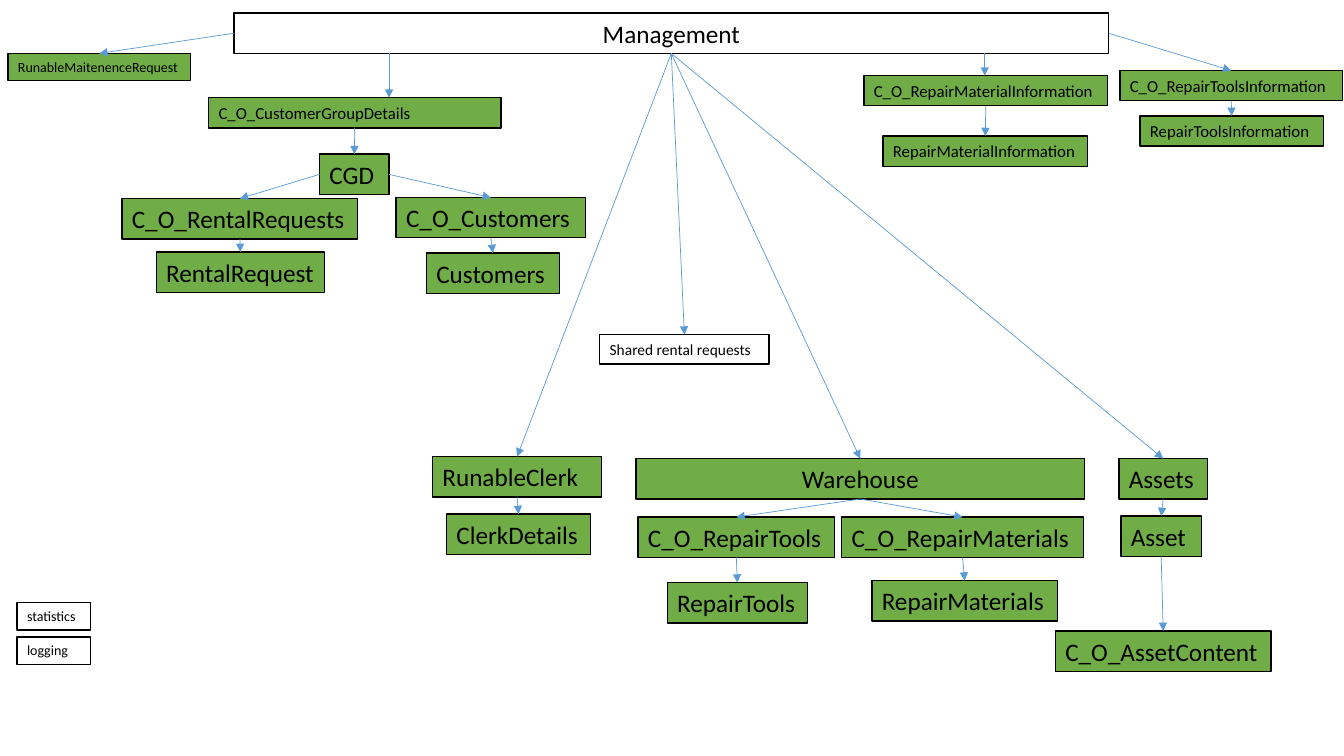
from pptx import Presentation
from pptx.dml.color import RGBColor
from pptx.enum.shapes import MSO_CONNECTOR as CONN
from pptx.enum.text import MSO_AUTO_SIZE as FIT, PP_ALIGN as ALIGN
from pptx.oxml.ns import qn
from pptx.util import Inches, Pt
from lxml.etree import SubElement

GREEN = RGBColor(0x70, 0xAD, 0x47)
BLUE = RGBColor(0x5B, 0x9B, 0xD5)
WHITE = RGBColor(0xFF, 0xFF, 0xFF)
BLACK = RGBColor(0, 0, 0)
FONT = "Calibri"

# The 16:9 slide is a grid of square cells, 750 rows high.
ROWS = 750
CELL = Inches(0.01)

# Rows that one line of text takes up, by font size
BOX_ROWS = {18: 40, 12: 30, 11: 29, 10: 27}
TOP, LEFT, BOTTOM, RIGHT = range(4)

# Green classes: text, column, row, columns wide, font size
CLASSES = [
    ("C_O_CustomerGroupDetails", 207, 97, 290, 12),
    ("CGD", 317, 153, 69, 18),
    ("C_O_RentalRequests", 121, 197, 234, 18),
    ("C_O_Customers", 393, 196, 188, 18),
    ("RentalRequest", 155, 250, 167, 18),
    ("Customers", 423, 251, 132, 18),
    ("RunableClerk", 429, 453, 168, 18),
    ("ClerkDetails", 443, 510, 143, 18),
    ("Warehouse", 631, 455, 445, 18),
    ("C_O_RepairTools", 633, 513, 195, 18),
    ("RepairTools", 662, 578, 139, 18),
    ("C_O_RepairMaterials", 835, 513, 240, 18),
    ("RepairMaterials", 865, 576, 184, 18),
    ("Assets", 1110, 455, 88, 18),
    ("Asset", 1112, 512, 80, 18),
    ("C_O_AssetContent", 1047, 626, 214, 18),
    ("C_O_RepairToolsInformation", 1111, 70, 221, 12),
    ("RepairToolsInformation", 1131, 115, 182, 12),
    ("C_O_RepairMaterialInformation", 857, 75, 242, 12),
    ("RepairMaterialInformation", 876, 135, 203, 12),
    ("RunableMaitenenceRequest", 8, 53, 181, 10),
]
PLAIN = [
    ("Management", 232, 13, 868, 18),
    ("Shared rental requests", 595, 332, 168, 11),
    ("statistics", 17, 598, 73, 10),
    ("logging", 17, 632, 73, 10),
]
CENTRED = {"Management", "Warehouse"}

# Arrows into the top of each child: parent, side it leaves from, children
LINKS = [
    ("Management", LEFT, ["RunableMaitenenceRequest"]),
    ("Management", RIGHT, ["C_O_RepairToolsInformation"]),
    ("Management", BOTTOM, ["RunableClerk", "Warehouse", "Assets",
                            "Shared rental requests"]),
    ("C_O_CustomerGroupDetails", BOTTOM, ["CGD"]),
    ("CGD", LEFT, ["C_O_RentalRequests"]),
    ("CGD", RIGHT, ["C_O_Customers"]),
    ("C_O_RentalRequests", BOTTOM, ["RentalRequest"]),
    ("C_O_Customers", BOTTOM, ["Customers"]),
    ("RunableClerk", BOTTOM, ["ClerkDetails"]),
    ("Warehouse", BOTTOM, ["C_O_RepairTools", "C_O_RepairMaterials"]),
    ("C_O_RepairTools", BOTTOM, ["RepairTools"]),
    ("C_O_RepairMaterials", BOTTOM, ["RepairMaterials"]),
    ("Assets", BOTTOM, ["Asset"]),
    ("Asset", BOTTOM, ["C_O_AssetContent"]),
    ("C_O_RepairToolsInformation", BOTTOM, ["RepairToolsInformation"]),
    ("C_O_RepairMaterialInformation", BOTTOM, ["RepairMaterialInformation"]),
]
# Upright arrows from Management: column, child
DROPS = [(386, "C_O_CustomerGroupDetails"),
         (977, "C_O_RepairMaterialInformation")]


def add_box(s, text, col, row, cols, size, fill):
    """Add a bordered one-line box at a grid position."""
    sp = s.shapes.add_textbox(col * CELL, row * CELL, cols * CELL,
                              BOX_ROWS[size] * CELL)
    sp.fill.solid()
    sp.fill.fore_color.rgb = fill
    sp.line.color.rgb = BLACK
    sp.line.width = Pt(1)
    tf = sp.text_frame
    tf.text = text
    tf.word_wrap = True
    tf.auto_size = FIT.SHAPE_TO_FIT_TEXT
    p = tf.paragraphs[0]
    if text in CENTRED:
        p.alignment = ALIGN.CENTER
    else:
        tf.margin_right = 0
    font = p.runs[0].font
    font.name, font.size = FONT, Pt(size)
    font.color.rgb = BLACK
    return sp


def add_arrow(s, x1, y1, x2, y2):
    """Add a thin blue arrow without a shadow."""
    line = s.shapes.add_connector(CONN.STRAIGHT, x1, y1, x2, y2)
    line.line.color.rgb = BLUE
    line.line.width = Pt(0.5)
    ln = line._element.spPr.find(qn("a:ln"))
    SubElement(ln, qn("a:tailEnd"), type="triangle")
    SubElement(line._element.spPr, qn("a:effectLst"))
    return line


def link(s, parent, side, child):
    """Join a side of the parent box to the top of the child box."""
    line = add_arrow(s, parent.left, parent.top, child.left, child.top)
    line.begin_connect(parent, side)
    line.end_connect(child, TOP)


def drop(s, parent, col, child):
    """Draw an upright arrow at a column, from parent down to child."""
    x = col * CELL
    add_arrow(s, x, parent.top + parent.height, x, child.top)


def main():
    """Build the class diagram slide."""
    prs = Presentation()
    prs.slide_height = ROWS * CELL
    prs.slide_width = prs.slide_height * 16 // 9
    s = prs.slides.add_slide(prs.slide_layouts[6])
    boxes = {}
    for fill, group in ((WHITE, PLAIN), (GREEN, CLASSES)):
        for text, *place in group:
            boxes[text] = add_box(s, text, *place, fill)
    for parent, side, children in LINKS:
        for child in children:
            link(s, boxes[parent], side, boxes[child])
    for col, child in DROPS:
        drop(s, boxes["Management"], col, boxes[child])
    prs.save("out.pptx")


main()
